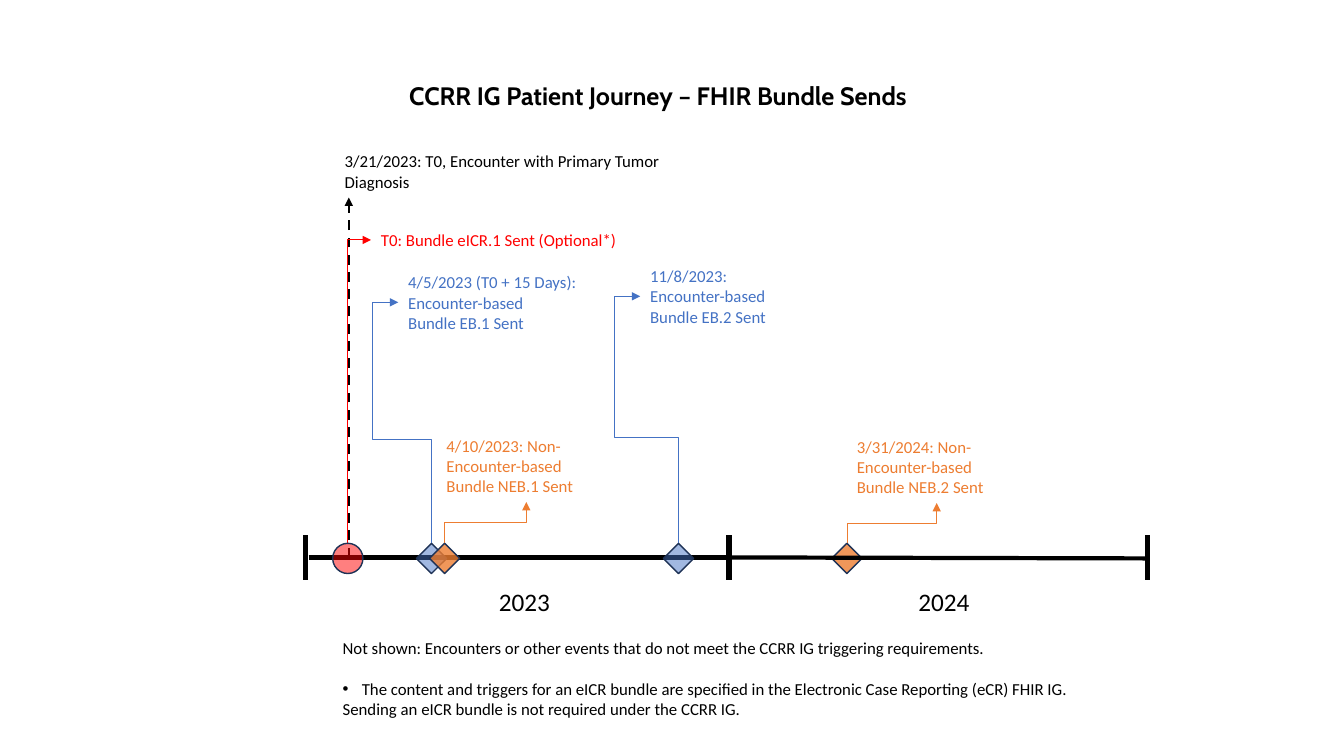
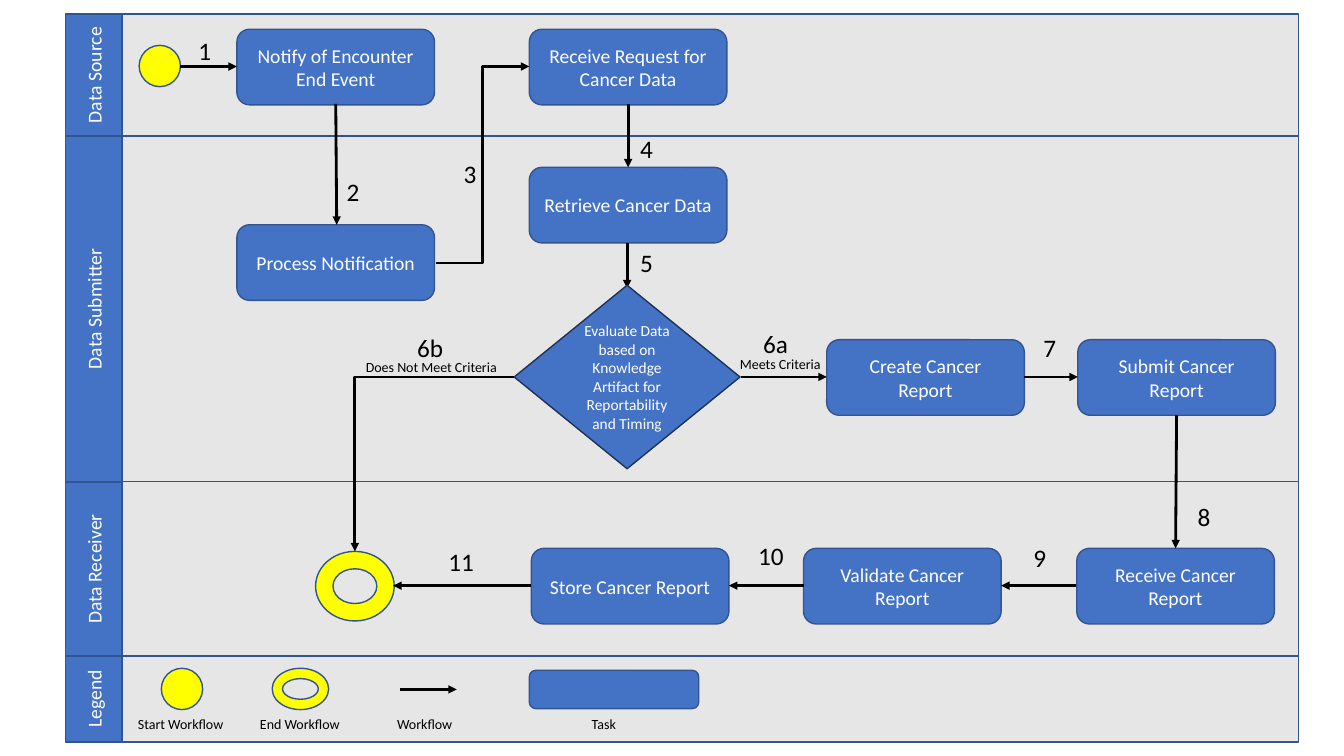
from dataclasses import dataclass
from typing import Any, Optional

from pptx import Presentation
from pptx import util as u
from pptx.dml.color import RGBColor
from pptx.enum import dml, shapes, text
from pptx.oxml.ns import qn
from pptx.oxml.xmlchemy import OxmlElement

INCH = 2.54
BLACK, WHITE, RED = "000000", "FFFFFF", "FF0000"
BLUE, ORANGE, YELLOW = "4472C4", "ED7D31", "FFFF00"
GREY, EDGE, NAVY = "E7E6E6", "325491", "1E3256"
FONT = "Calibri"
KIND = shapes.MSO_SHAPE
Point = tuple[float, float]
Box = tuple[float, float, float, float]


@dataclass
class Mark:
    x: float
    color: str
    alpha: int
    kind: Any = KIND.DIAMOND


@dataclass
class Event:
    text: str
    box: Box
    color: str
    start: Point
    end: Point
    bend: tuple[float, ...]
    width: float = 0.5


@dataclass
class Lane:
    name: str
    height: float


@dataclass
class Task:
    name: str
    x: float
    y: float


@dataclass
class Flow:
    start: Point
    end: Point


@dataclass
class Label:
    text: str
    box: Box
    size: int = 18
    wrap: bool = False


def cm(inch: float) -> u.Length:
    return u.Cm(inch * INCH)


def paint(form: Any, color: str) -> None:
    form.rgb = RGBColor.from_string(color)


def write(frame: Any, words: str, size: float = 12, color: str = BLACK,
          font: str = FONT, bold: bool = False, center: bool = False,
          wrap: bool = True, lead: Optional[float] = None,
          after: Optional[float] = None) -> None:
    frame.word_wrap = wrap
    for i, line in enumerate(words.split("\n")):
        para = frame.paragraphs[0] if i == 0 else frame.add_paragraph()
        para.alignment = text.PP_ALIGN.CENTER if center else text.PP_ALIGN.LEFT
        if lead:
            para.line_spacing = lead
        if after:
            para.space_after = u.Pt(after)
        run = para.add_run()
        run.text = line
        run.font.name, run.font.size, run.font.bold = font, u.Pt(size), bold
        paint(run.font.color, color)


def note(slide: Any, words: str, box: Box, **form: Any) -> Any:
    frame = slide.shapes.add_textbox(*map(cm, box)).text_frame
    write(frame, words, **form)
    frame.auto_size = text.MSO_AUTO_SIZE.SHAPE_TO_FIT_TEXT
    return frame


def shape(slide: Any, kind: Any, box: Box, fill: str, edge: str = EDGE,
          alpha: int = 100, words: str = "", size: float = 14) -> Any:
    item = slide.shapes.add_shape(kind, *map(cm, box))
    item.shadow.inherit = False
    item.fill.solid()
    paint(item.fill.fore_color, fill)
    if alpha < 100:
        tone = item.element.spPr.find(qn("a:solidFill")).find(qn("a:srgbClr"))
        node = OxmlElement("a:alpha")
        node.set("val", str(alpha * 1000))
        tone.append(node)
    paint(item.line.color, edge)
    item.line.width = u.Pt(1)
    if words:
        item.text_frame.vertical_anchor = text.MSO_ANCHOR.MIDDLE
        write(item.text_frame, words, size, WHITE, center=True)
    return item


def line(slide: Any, start: Point, end: Point, color: str = BLACK,
         width: float = 2, arrow: bool = True, dash: bool = False,
         bent: bool = False) -> Any:
    kind = shapes.MSO_CONNECTOR.ELBOW if bent else shapes.MSO_CONNECTOR.STRAIGHT
    item = slide.shapes.add_connector(kind, *map(cm, start + end))
    paint(item.line.color, color)
    item.line.width = u.Pt(width)
    if dash:
        item.line.dash_style = dml.MSO_LINE.DASH
    prop = item.element.spPr
    if arrow:
        tip = OxmlElement("a:tailEnd")
        tip.set("type", "triangle")
        prop.find(qn("a:ln")).append(tip)
    prop.append(OxmlElement("a:effectLst"))
    return item


def route(item: Any, bend: tuple[float, ...]) -> None:
    geom = item.element.spPr.find(qn("a:prstGeom"))
    geom.set("prst", f"bentConnector{len(bend) + 2}")
    guides = geom.find(qn("a:avLst"))
    for i, part in enumerate(bend, 1):
        guide = OxmlElement("a:gd")
        guide.set("name", f"adj{i}" if len(bend) > 1 else "adj1")
        guide.set("fmla", f"val {round(part * 100000)}")
        guides.append(guide)


def rise(slide: Any, event: Event) -> None:
    (x1, y1), (x2, y2) = event.start, event.end
    mid_x, mid_y = (x1 + x2) / 2, (y1 + y2) / 2
    run, high = (x2 - x1) / 2, (y1 - y2) / 2
    item = line(slide, (mid_x - high, mid_y - run), (mid_x + high, mid_y + run),
                event.color, event.width, bent=True)
    item.element.spPr.find(qn("a:xfrm")).set("rot", str(270 * 60000))
    route(item, event.bend)


EVENTS = [
    Event("4/5/2023 (T0 + 15 Days): Encounter-based\nBundle EB.1 Sent",
          (3.95, 2.65, 1.89, 0.71), BLUE, (4.28, 5.39), (3.95, 3), (0.43, 1.77)),
    Event("11/8/2023:\nEncounter-based\nBundle EB.2 Sent",
          (6.35, 2.59, 1.8, 0.71), BLUE, (6.73, 5.39), (6.35, 2.94), (0.43, 1.67)),
    Event("4/10/2023: Non-Encounter-based\nBundle NEB.1 Sent",
          (4.33, 4.27, 1.77, 0.71), ORANGE, (4.41, 5.39), (5.22, 4.98), (0.5,)),
    Event("T0: Bundle eICR.1 Sent (Optional*)",
          (3.68, 2.23, 2.61, 0.3), RED, (3.45, 5.39), (3.68, 2.38), (), 0.75),
    Event("3/31/2024: Non-Encounter-based\nBundle NEB.2 Sent",
          (8.4, 4.28, 1.77, 0.71), ORANGE, (8.4, 5.39), (9.29, 4.99), (0.5,)),
]
MARKS = [
    Mark(4.13, BLUE, 50),
    Mark(3.3, RED, 50, KIND.OVAL),
    Mark(6.58, BLUE, 50),
    Mark(4.26, ORANGE, 80),
    Mark(8.25, ORANGE, 80),
]
NOTES = (
    "Not shown: Encounters or other events that do not meet the CCRR IG "
    "triggering requirements.\n"
    "The content and triggers for an eICR bundle are specified in the "
    "Electronic Case Reporting (eCR) FHIR IG.\n"
    "Sending an eICR bundle is not required under the CCRR IG."
)


def journey(slide: Any) -> None:
    for x in (3.03, 7.23, 11.38):
        line(slide, (x, 5.31), (x, 5.75), width=4, arrow=False)
    line(slide, (3.06, 5.53), (7.22, 5.53), width=3, arrow=False)
    for year, x in (("2023", 4.85), ("2024", 9.01)):
        note(slide, year, (x, 5.77, 0.71, 0.4), size=18, wrap=False)
    line(slide, (3.46, 5.53), (3.46, 1.96), width=1.75, dash=True)
    note(slide, "3/21/2023: T0, Encounter with Primary Tumor Diagnosis",
         (3.32, 1.45, 3.49, 0.5))
    for event in EVENTS:
        rise(slide, event)
        note(slide, event.text, event.box, color=event.color)
    for mark in MARKS:
        shape(slide, mark.kind, (mark.x, 5.39, 0.3, 0.3), mark.color, NAVY,
              mark.alpha)
    line(slide, (7.22, 5.53), (11.38, 5.54), width=3, arrow=False)
    item = note(slide, NOTES, (3.3, 6.28, 7.69, 0.91)).paragraphs[1]
    item.space_before = u.Pt(14.4)
    prop = item._p.get_or_add_pPr()
    prop.set("marL", str(cm(0.19)))
    prop.set("indent", str(-cm(0.19)))
    for tag, key, val in (("a:buFont", "typeface", "Arial"),
                          ("a:buChar", "char", "•")):
        node = OxmlElement(tag)
        node.set(key, val)
        prop.append(node)
    note(slide, "CCRR IG Patient Journey – FHIR Bundle Sends",
         (3.96, 0.7, 5.42, 0.43), size=18, font="Cabin", bold=True,
         lead=1.15, after=8)


LANES = [Lane("Data Source", 1.21), Lane("Data Submitter", 3.43),
         Lane("Data Receiver", 1.73), Lane("Legend", 0.85)]
TASKS = [
    Task("Notify of Encounter End Event", 2.35, 0.29),
    Task("Receive Request for Cancer Data", 5.25, 0.29),
    Task("Process Notification", 2.35, 2.23),
    Task("Retrieve Cancer Data", 5.25, 1.66),
    Task("Create Cancer Report", 8.2, 3.37),
    Task("Submit Cancer Report", 10.69, 3.37),
    Task("Receive Cancer Report", 10.68, 5.44),
    Task("Validate Cancer Report", 7.97, 5.44),
    Task("Store Cancer Report", 5.27, 5.44),
]
FLOWS = [
    Flow((1.79, 0.66), (2.35, 0.66)),
    Flow((3.97, 6.84), (4.53, 6.84)),
    Flow((3.33, 1.03), (3.34, 2.23)),
    Flow((6.23, 1.03), (6.23, 1.66)),
    Flow((6.22, 2.41), (6.22, 2.86)),
    Flow((7.35, 3.74), (8.2, 3.74)),
    Flow((10.16, 3.74), (10.69, 3.74)),
    Flow((11.67, 4.12), (11.66, 5.44)),
    Flow((10.67, 5.81), (9.93, 5.81)),
    Flow((7.97, 5.81), (7.23, 5.81)),
    Flow((5.27, 5.81), (3.9, 5.81)),
]
LABELS = [
    Label("1", (1.87, 0.3, 0.33, 0.4)),
    Label("2", (3.34, 1.7, 0.33, 0.4)),
    Label("3", (4.5, 1.52, 0.27, 0.4), wrap=True),
    Label("4", (6.25, 1.27, 0.33, 0.4)),
    Label("5", (6.25, 2.4, 0.33, 0.4)),
    Label("6a", (7.47, 3.21, 0.45, 0.4)),
    Label("6b", (4.04, 3.25, 0.46, 0.4)),
    Label("7", (10.25, 3.25, 0.33, 0.4)),
    Label("8", (11.78, 4.92, 0.33, 0.4)),
    Label("9", (10.15, 5.33, 0.33, 0.4)),
    Label("10", (7.42, 5.31, 0.46, 0.4)),
    Label("11", (4.35, 5.37, 0.46, 0.4)),
    Label("Does Not Meet Criteria", (3.53, 3.51, 1.7, 0.27), 10, True),
    Label("Meets Criteria", (7.24, 3.48, 1.02, 0.27), 10, True),
    Label("Start Workflow", (1.27, 7.05, 1.07, 0.27), 10),
    Label("End Workflow", (2.48, 7.05, 1.01, 0.27), 10),
    Label("Workflow", (3.84, 7.05, 0.79, 0.27), 10, True),
    Label("Task", (5.77, 7.05, 0.45, 0.27), 10),
]


def process(slide: Any) -> None:
    top, left, wide = 0.14, 0.65, 0.56
    for lane in LANES:
        high = lane.height
        box = (left + (wide - high) / 2, top + (high - wide) / 2, high, wide)
        shape(slide, KIND.RECTANGLE, box, BLUE, words=lane.name).rotation = 270
        shape(slide, KIND.RECTANGLE, (left + wide, top, 11.67, high), GREY)
        top += high
    for x, y in ((1.38, 0.45), (1.6, 6.63)):
        shape(slide, KIND.OVAL, (x, y, 0.41, 0.41), YELLOW)
    for box in ((3.13, 5.47, 0.78, 0.69), (2.7, 6.63, 0.56, 0.41)):
        shape(slide, KIND.DONUT, box, YELLOW)
    for task in TASKS:
        shape(slide, KIND.ROUNDED_RECTANGLE, (task.x, task.y, 1.96, 0.75), BLUE,
              words=task.name)
    shape(slide, KIND.ROUNDED_RECTANGLE, (5.25, 6.65, 1.68, 0.38), BLUE)
    for flow in FLOWS:
        line(slide, flow.start, flow.end)
    line(slide, (4.32, 2.61), (5.25, 0.66), bent=True)
    shape(slide, KIND.DIAMOND, (5.1, 2.83, 2.24, 1.82), BLUE, NAVY, size=11,
          words="Evaluate Data based on Knowledge Artifact for "
                "Reportability and Timing")
    route(line(slide, (5.1, 3.74), (3.52, 5.47), bent=True), ())
    for label in LABELS:
        note(slide, label.text, label.box, size=label.size, wrap=label.wrap)


def main() -> None:
    deck = Presentation()
    deck.slide_width, deck.slide_height = cm(13.33), cm(7.5)
    for draw in (journey, process):
        draw(deck.slides.add_slide(deck.slide_layouts[6]))
    deck.save("out.pptx")


if __name__ == "__main__":
    main()
